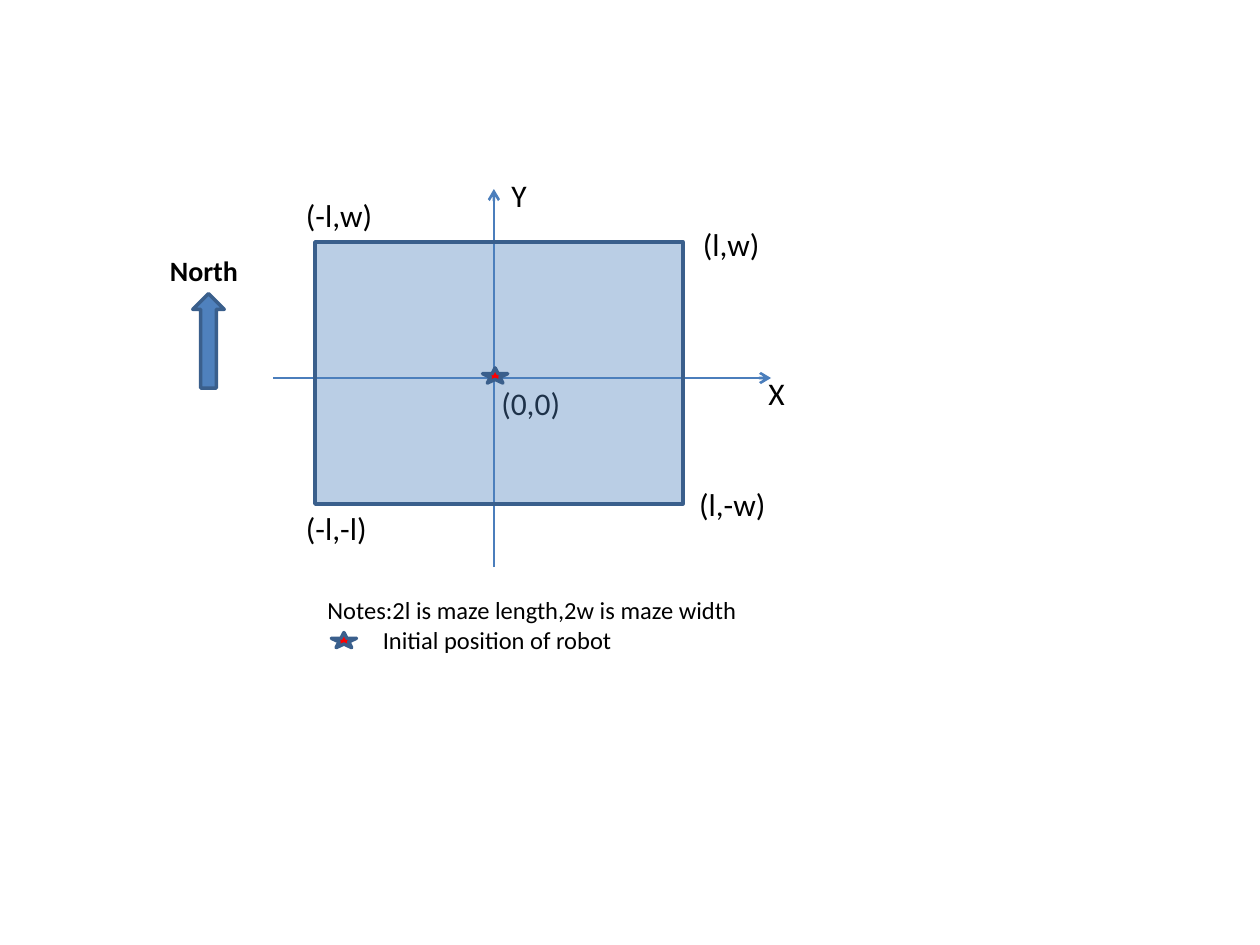
"""Build a slide showing the maze coordinate system and the robot's start."""
from typing import NamedTuple

from lxml import etree
from pptx import Presentation
from pptx.dml.color import RGBColor
from pptx.enum.shapes import MSO_CONNECTOR, MSO_SHAPE
from pptx.enum.text import MSO_AUTO_SIZE
from pptx.oxml.ns import qn
from pptx.util import Inches, Pt

STRAIGHT = MSO_CONNECTOR.STRAIGHT
RECT = MSO_SHAPE.RECTANGLE
ARROW = MSO_SHAPE.RIGHT_ARROW
STAR = MSO_SHAPE.STAR_5_POINT
FIT_SHAPE = MSO_AUTO_SIZE.SHAPE_TO_FIT_TEXT
FONT = "Calibri"
BLACK, BLUE, EDGE, AXIS, RED = "000000", "4F81BD", "3A5F8C", "4B7EBC", "FF0000"


class Label(NamedTuple):
    text: str
    x: float
    y: float
    w: float
    h: float = 0.4
    size: int = 18
    bold: bool = False


class Figure(NamedTuple):
    kind: int
    x: float
    y: float
    w: float
    h: float
    fill: str
    rotation: int = 0
    opacity: int = 100


class Axis(NamedTuple):
    x1: float
    y1: float
    x2: float
    y2: float


AXES = [Axis(2.17, 3, 6.12, 3), Axis(3.92, 4.5, 3.92, 1.5)]
ORIGIN = Label("(0,0)", 3.88, 3, 0.68)
MAZE = Figure(RECT, 2.5, 1.92, 2.92, 2.08, BLUE, opacity=39)
LABELS = [
    Label("(l,w)", 5.48, 1.74, 0.66),
    Label("(l,-w)", 5.45, 3.8, 0.73),
    Label("(-l,-l)", 2.33, 3.99, 0.69),
    Label("(-l,w)", 2.33, 1.51, 0.73),
    Label("Notes:2l is maze length,2w is maze width", 2.5, 4.67, 3.48, 0.34, 14),
    Label("X", 6, 2.92, 0.33),
    Label("Y", 3.96, 1.35, 0.32),
    Label("North", 1.25, 1.96, 0.75, 0.37, 16, True),
    Label("Initial position of robot", 2.94, 4.91, 2.04, 0.34, 14),
]
MARKERS = [
    Figure(ARROW, 1.28, 2.58, 0.75, 0.25, BLUE, rotation=270),
    Figure(STAR, 3.83, 2.92, 0.2, 0.12, RED),
    Figure(STAR, 2.63, 5.02, 0.2, 0.12, RED),
]


def color(value: str) -> RGBColor:
    return RGBColor.from_string(value)


def add_axis(s, axis: Axis) -> None:
    sp = s.shapes.add_connector(STRAIGHT, *(Inches(v) for v in axis))
    sp.line.color.rgb = color(AXIS)
    sp.line.width = Pt(1.5)
    etree.SubElement(sp.line._get_or_add_ln(), qn("a:tailEnd"), type="arrow")
    etree.SubElement(sp._element.spPr, qn("a:effectLst"))


def add_figure(s, fig: Figure) -> None:
    sp = s.shapes.add_shape(fig.kind, *(Inches(v) for v in fig[1:5]))
    sp.shadow.inherit = False
    sp.rotation = fig.rotation
    sp.fill.solid()
    sp.fill.fore_color.rgb = color(fig.fill)
    if fig.opacity < 100:
        rgb = sp._element.spPr.find(qn("a:solidFill")).find(qn("a:srgbClr"))
        etree.SubElement(rgb, qn("a:alpha"), val=str(fig.opacity * 1000))
    sp.line.color.rgb = color(EDGE)
    sp.line.width = Pt(2)


def add_label(s, label: Label) -> None:
    sp = s.shapes.add_textbox(*(Inches(v) for v in label[1:5]))
    tf = sp.text_frame
    tf.word_wrap = False
    tf.auto_size = FIT_SHAPE
    p = tf.paragraphs[0]
    p.text = label.text
    p.font.name = FONT
    p.font.size = Pt(label.size)
    p.font.bold = label.bold
    p.font.color.rgb = color(BLACK)


def main() -> None:
    prs = Presentation()
    prs.slide_width, prs.slide_height = Inches(10), Inches(7.5)
    s = prs.slides.add_slide(prs.slide_layouts[6])
    for axis in AXES:
        add_axis(s, axis)
    add_label(s, ORIGIN)
    add_figure(s, MAZE)
    for label in LABELS:
        add_label(s, label)
    for marker in MARKERS:
        add_figure(s, marker)
    prs.save("out.pptx")


if __name__ == "__main__":
    main()
